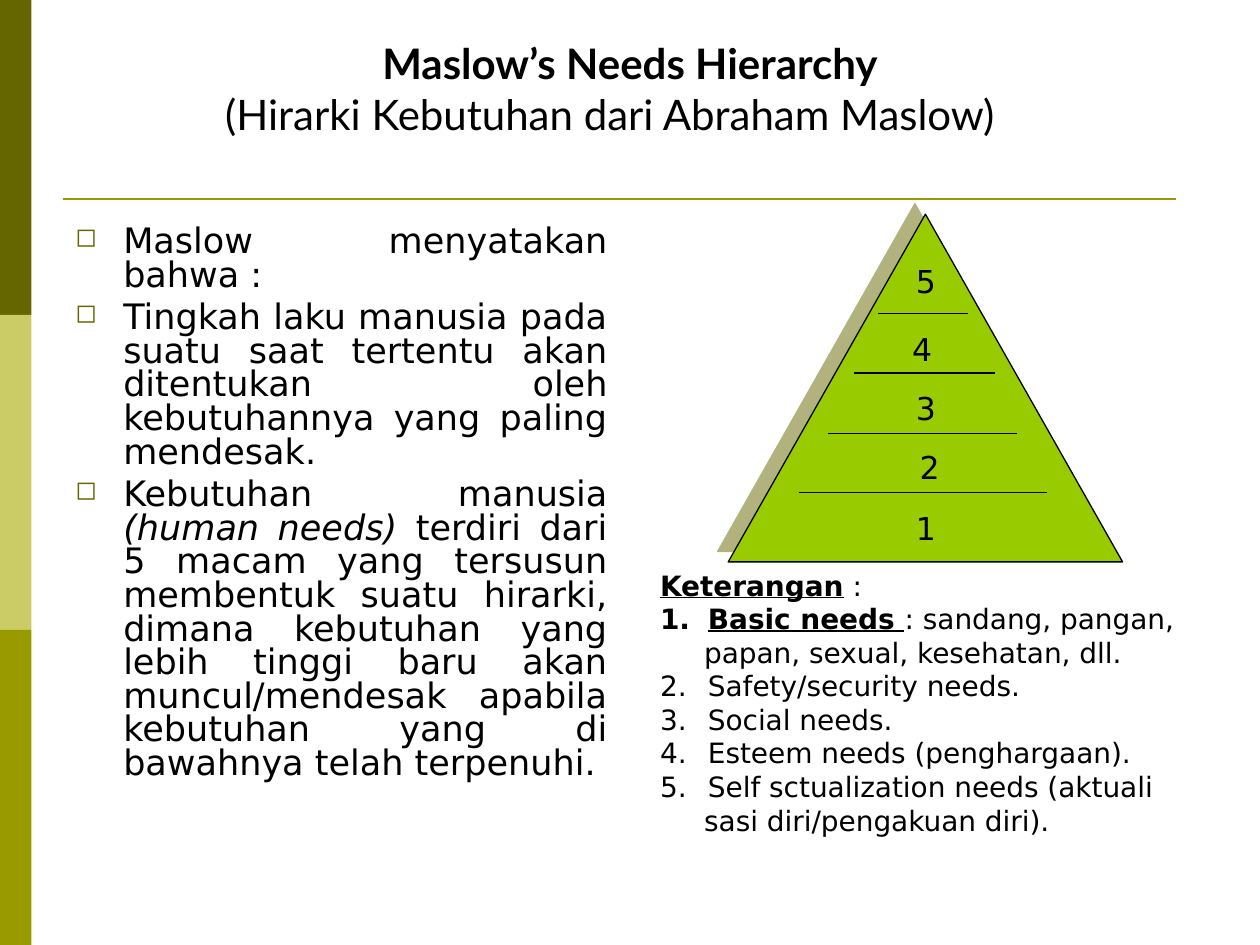
from dataclasses import dataclass
from typing import Any

from lxml.etree import SubElement
from pptx import Presentation
from pptx.dml.color import RGBColor
from pptx.enum.shapes import MSO_CONNECTOR as Connector, MSO_SHAPE as Shape
from pptx.enum.text import MSO_ANCHOR as Anchor, PP_ALIGN as Align
from pptx.oxml.ns import qn
from pptx.util import Inches, Pt

COLORS = {
    "dark": "666600",
    "olive": "999900",
    "pale": "CCCC66",
    "lime": "99CC00",
    "black": "000000",
}


def add_bullet(para, color, char=None, start=1):
    props = para._p.get_or_add_pPr()
    tint = SubElement(props, qn("a:buClr"))
    SubElement(tint, qn("a:srgbClr"), val=COLORS[color])
    if char:
        SubElement(props, qn("a:buSzPct"), val="75000")
        SubElement(props, qn("a:buChar"), char=char)
    else:
        SubElement(props, qn("a:buAutoNum"), type="arabicPeriod", startAt=str(start))


def set_indent(para, left, first=0, right=0):
    props = para._p.get_or_add_pPr()
    props.set("marL", str(Inches(left)))
    props.set("indent", str(Inches(first)))
    props.set("marR", str(Inches(right)))


@dataclass
class SlideBuilder:
    page: Any
    font: str = "DejaVu Sans"
    ink: str = "black"
    line_width: float = 0.75

    def color(self, name):
        return RGBColor.from_string(COLORS[name])

    def shape(self, kind, left, top, width, height, fill, outline=None):
        shape = self.page.shapes.add_shape(
            kind, Inches(left), Inches(top), Inches(width), Inches(height))
        shape.shadow.inherit = False
        shape.fill.solid()
        shape.fill.fore_color.rgb = self.color(fill)
        if outline:
            shape.line.color.rgb = self.color(outline)
            shape.line.width = Pt(self.line_width)
        else:
            shape.line.fill.background()
        return shape

    def shadow(self, shape, color, distance, angle, opacity):
        effects = shape._element.spPr.find(qn("a:effectLst"))
        shadow = SubElement(effects, qn("a:outerShdw"), blurRad="0",
                            dist=str(Pt(distance)), dir=str(angle * 60000),
                            algn="ctr", rotWithShape="0")
        tint = SubElement(shadow, qn("a:srgbClr"), val=COLORS[color])
        SubElement(tint, qn("a:alpha"), val=str(opacity * 1000))

    def rule(self, left, right, y, color="black", width=None):
        line = self.page.shapes.add_connector(
            Connector.STRAIGHT, Inches(left), Inches(y), Inches(right), Inches(y))
        line.line.color.rgb = self.color(color)
        line.line.width = Pt(width or self.line_width)
        SubElement(line._element.spPr, qn("a:effectLst"))

    def text(self, left, top, width, height, paragraphs, size,
             font=None, align=Align.LEFT, anchor=Anchor.TOP, wrap=True):
        box = self.page.shapes.add_textbox(
            Inches(left), Inches(top), Inches(width), Inches(height))
        frame = box.text_frame
        frame.word_wrap = wrap
        frame.vertical_anchor = anchor
        for index, spans in enumerate(paragraphs):
            para = frame.add_paragraph() if index else frame.paragraphs[0]
            para.alignment = align
            for words, style in spans:
                span = para.add_run()
                span.text = words
                span.font.name = font or self.font
                span.font.size = Pt(size)
                span.font.color.rgb = self.color(self.ink)
                span.font.bold = "b" in style
                span.font.italic = "i" in style
                span.font.underline = "u" in style
        return frame.paragraphs


def main():
    deck = Presentation()
    deck.slide_width, deck.slide_height = Inches(10), Inches(7.5)
    builder = SlideBuilder(deck.slides.add_slide(deck.slide_layouts[6]))

    for index, fill in enumerate(("dark", "pale", "olive")):
        builder.shape(Shape.RECTANGLE, 0, 2.5 * index, 0.25, 2.5, fill)
    builder.rule(0.5, 9.33, 1.58, "olive", 1.5)

    title = builder.text(0.5, 0.19, 9, 0.96, [
        [("Maslow’s Needs Hierarchy", "b")],
        [("(Hirarki Kebutuhan dari Abraham Maslow)", "")],
    ], 24, "Lato", Align.CENTER, Anchor.BOTTOM)
    set_indent(title[1], 0, right=0.32)

    statements = builder.text(0.5, 1.75, 4.42, 4.95, [
        [("Maslow menyatakan bahwa :", "")],
        [("Tingkah laku manusia pada suatu saat tertentu akan ditentukan oleh "
          "kebutuhannya yang paling mendesak.", "")],
        [("Kebutuhan manusia ", ""), ("(human needs)", "i"),
         (" terdiri dari 5 macam yang tersusun membentuk suatu hirarki, dimana "
          "kebutuhan yang lebih tinggi baru akan muncul/mendesak apabila "
          "kebutuhan yang di bawahnya telah terpenuhi.", "")],
    ], 20, align=Align.JUSTIFY)
    for para in statements:
        para.line_spacing = 0.8
        para.space_before = Pt(5)
        set_indent(para, 0.38, -0.38)
        add_bullet(para, "dark", "◻")

    pyramid = builder.shape(Shape.ISOSCELES_TRIANGLE, 5.78, 1.7, 3.13, 2.76,
                            "lime", "black")
    builder.shadow(pyramid, "dark", 8.5, 225, 50)
    for left, right, y in ((6.34, 8.31, 3.91), (6.57, 8.07, 3.44),
                           (6.78, 7.9, 2.96), (6.97, 7.68, 2.49)):
        builder.rule(left, right, y)
    levels = ((7.17, 3.99), (7.2, 3.51), (7.17, 3.04), (7.14, 2.57), (7.17, 2.03))
    for number, (left, top) in enumerate(levels, 1):
        builder.text(left, top, 0.34, 0.4, [[(str(number), "")]], 18,
                     align=Align.CENTER, wrap=False)

    legend = builder.text(5.14, 4.46, 4.35, 2.24, [
        [("Keterangan", "bu"), (" :", "")],
        [("Basic needs ", "bu"), (": sandang, pangan,", "")],
        [("papan, sexual, kesehatan, dll.", "")],
        [("Safety/security needs.", "")],
        [("Social needs.", "")],
        [("Esteem needs (penghargaan).", "")],
        [("Self sctualization needs (aktuali", "")],
        [("sasi diri/pengakuan diri).", "")],
    ], 16)
    heading, first, first_rest, *others, last_rest = legend
    set_indent(heading, 0.38, -0.38)
    for para in (first_rest, last_rest):
        set_indent(para, 0.35)
    for para in (first, *others):
        set_indent(para, 0.38, -0.38)
        add_bullet(para, "black", start=1 if para is first else 2)

    deck.save("out.pptx")


if __name__ == "__main__":
    main()
